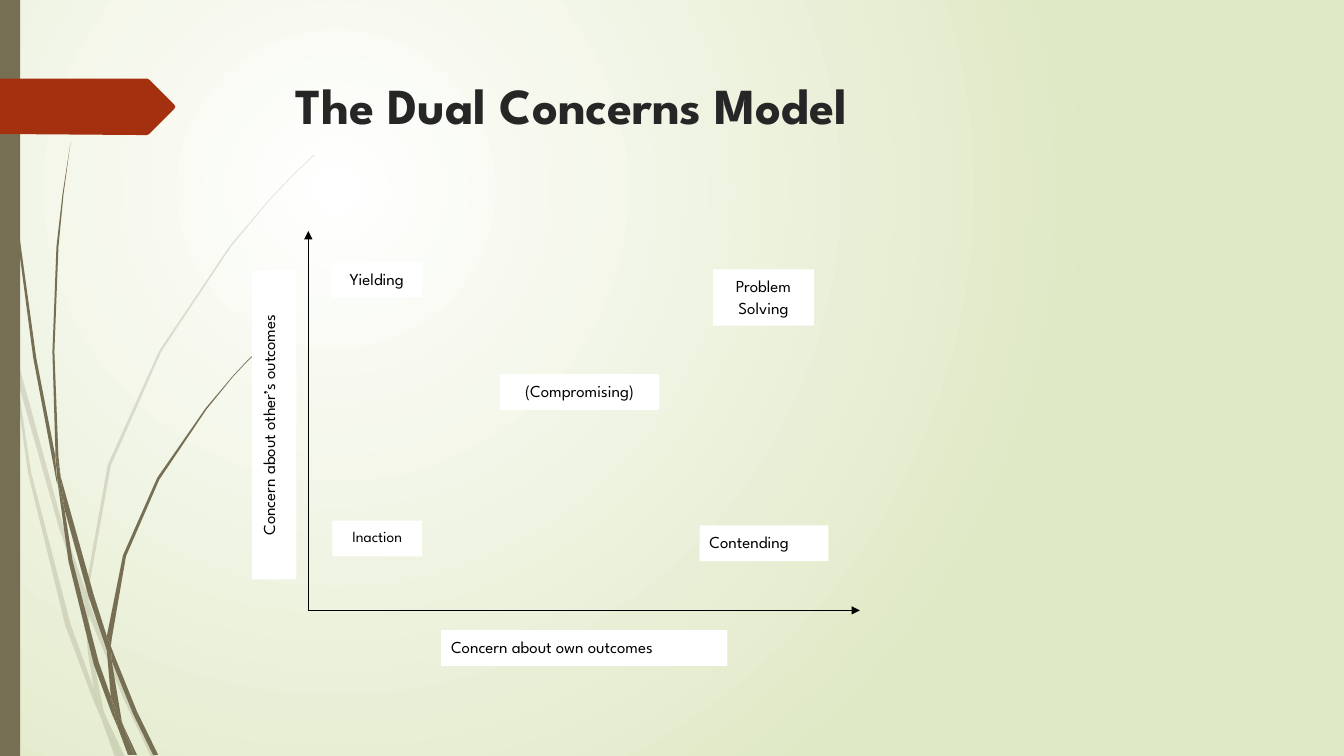
from lxml import etree
from pptx import Presentation
from pptx.dml.color import RGBColor
from pptx.enum import shapes, text
from pptx.oxml.ns import qn
from pptx.util import Cm, Pt

FONT = "League Spartan"
WHITE = RGBColor(0xFF, 0xFF, 0xFF)
BLACK = RGBColor(0, 0, 0)
PALE_GREEN = RGBColor(0xDF, 0xE8, 0xC4)
OLIVE = RGBColor(0x76, 0x6F, 0x54)
RUST = RGBColor(0xA5, 0x30, 0x10)
CHARCOAL = RGBColor(0x26, 0x26, 0x26)

GRID = Cm(2.54) / 100
FAINT_BLADES = [
    [(11, 350), (9, 322), (0, 282), (0, 299), (10, 344)],
    [(58, 522), (84, 599), (85, 586), (62, 520), (14, 345), (17, 376)],
    [(92, 607), (88, 596), (88, 610), (123, 694), (150, 751), (155, 751), (127, 692)],
    [(119, 751), (124, 751), (105, 711)],
    [(93, 683), (70, 619), (31, 469), (17, 376), (11, 350), (28, 470), (65, 621),
     (92, 693), (101, 714), (99, 707)],
    [(84, 599), (87, 646), (93, 683), (96, 692), (105, 711), (103, 706), (91, 646),
     (88, 610), (88, 608)],
    [(88, 584), (110, 462), (160, 349), (229, 245), (268, 198), (290, 175), (312, 154),
     (312, 153), (289, 175), (268, 197), (228, 244), (158, 348), (107, 461), (85, 584),
     (85, 586), (88, 596)],
    [(101, 714), (114, 751), (119, 751)],
    [(88, 608), (88, 610), (88, 596), (85, 586), (84, 599)],
    [(96, 692), (93, 683), (99, 707), (101, 714), (119, 751), (105, 711)],
]
DARK_BLADES = [
    [(7, 110), (17, 233), (33, 355), (56, 477), (57, 481), (55, 457), (55, 453),
     (36, 355), (19, 232), (8, 109), (5, 48), (4, 0), (3, 0), (4, 48)],
    [(88, 592), (106, 645), (106, 633), (106, 631), (93, 590), (60, 472), (64, 505)],
    [(113, 649), (110, 641), (111, 656), (132, 708), (152, 749), (157, 749), (136, 706)],
    [(110, 691), (98, 657), (72, 556), (64, 505), (57, 477), (68, 557), (93, 659),
     (111, 708), (117, 722), (116, 717)],
    [(60, 472), (58, 453), (54, 349), (58, 245), (63, 193), (70, 141), (62, 193),
     (56, 245), (52, 349), (55, 449)],
    [(133, 749), (136, 749), (122, 719)],
    [(57, 477), (64, 505), (60, 472), (55, 449), (55, 453)],
    [(111, 633), (125, 552), (158, 476), (205, 406), (231, 374), (245, 359), (261, 344),
     (260, 344), (245, 358), (231, 373), (204, 405), (156, 474), (122, 551), (106, 631),
     (110, 641)],
    [(117, 722), (127, 749), (131, 749)],
    [(106, 645), (110, 691), (116, 706), (122, 719), (121, 716), (111, 656), (109, 651)],
    [(106, 645), (109, 651), (111, 656), (110, 641), (106, 631), (106, 633)],
    [(116, 706), (110, 691), (116, 717), (117, 722), (130, 749), (133, 749), (122, 719)],
]
TAG = [(173, 108), (148, 133), (146, 134), (136, 134), (0, 133), (0, 78), (136, 78),
       (146, 78), (148, 79), (173, 104), (174, 106)]

CENTER = text.PP_ALIGN.CENTER
LEFT = text.PP_ALIGN.LEFT
LABELS = [
    ("Yielding", (8.35, 6.6, 2.29, .9), CENTER, 12, 0),
    ("Concern about other’s outcomes", (3.02, 10.15, 7.78, 1.12), CENTER, 12, 270),
    ("Problem Solving", (17.97, 6.79, 2.54, 1.42), CENTER, 12, 0),
    ("(Compromising)", (12.6, 9.43, 4.02, .9), CENTER, 12, 0),
    ("Contending", (17.63, 13.24, 3.25, .9), LEFT, 12, 0),
    ("Inaction", (8.38, 13.12, 2.26, .9), CENTER, 11, 0),
    ("Concern about own outcomes", (11.12, 15.88, 7.21, .9), LEFT, 12, 0),
]
ORIGIN = (7.77, 15.38)
AXIS_ENDS = [(7.77, 5.82), (21.67, 15.38)]


def paint_background(slide):
    fill = slide.background.fill
    fill.gradient()
    for stop, color in zip(fill.gradient_stops, (WHITE, PALE_GREEN)):
        stop.color.rgb = color
    gradient = slide.element.find(".//" + qn("a:gradFill"))
    gradient.remove(gradient.find(qn("a:lin")))
    circle = etree.SubElement(gradient, qn("a:path"), path="circle")
    etree.SubElement(circle, qn("a:fillToRect"),
                     l="50000", t="50000", r="100000", b="100000")


def paint(shape, color):
    shape.shadow.inherit = False
    shape.fill.solid()
    shape.fill.fore_color.rgb = color
    shape.line.fill.background()


def add_outline(slide, corners, color, opacity=100):
    pen = slide.shapes.build_freeform(*corners[0], scale=GRID)
    pen.add_line_segments(corners[1:])
    outline = pen.convert_to_shape()
    paint(outline, color)
    if opacity < 100:
        tint = outline.element.spPr.find(qn("a:solidFill"))[0]
        etree.SubElement(tint, qn("a:alpha"), val=str(opacity * 1000))


def add_block(slide, place, color):
    block = slide.shapes.add_shape(shapes.MSO_SHAPE.RECTANGLE, *map(Cm, place))
    paint(block, color)
    return block


def add_run(paragraph, words, size, color, bold=False):
    run = paragraph.add_run()
    run.text = words
    run.font.name = FONT
    run.font.size = Pt(size)
    run.font.bold = bold
    run.font.color.rgb = color


def write_title(slide, words):
    title = slide.shapes.title
    title.left, title.top, title.width, title.height = map(Cm, (7.2, 1.73, 24.77, 2.26))
    frame = title.text_frame
    frame.auto_size = text.MSO_AUTO_SIZE.NONE
    frame.vertical_anchor = text.MSO_ANCHOR.TOP
    frame.paragraphs[0].alignment = LEFT
    add_run(frame.paragraphs[0], words, 36, CHARCOAL, bold=True)


def add_axis(slide, end):
    axis = slide.shapes.add_connector(shapes.MSO_CONNECTOR.STRAIGHT,
                                      *map(Cm, ORIGIN + end))
    axis.line.color.rgb = BLACK
    axis.line.width = Pt(.75)
    stroke = axis.element.spPr.find(qn("a:ln"))
    etree.SubElement(stroke, qn("a:tailEnd"), type="triangle")
    etree.SubElement(axis.element.spPr, qn("a:effectLst"))


def add_label(slide, words, place, alignment, size, rotation):
    label = add_block(slide, place, WHITE)
    label.rotation = rotation
    frame = label.text_frame
    frame.word_wrap = True
    frame.vertical_anchor = text.MSO_ANCHOR.TOP
    paragraph = frame.paragraphs[0]
    paragraph.alignment = alignment
    paragraph.line_spacing = 1.07
    paragraph.space_after = Pt(8)
    add_run(paragraph, words, size, BLACK)


def main():
    deck = Presentation()
    deck.slide_width, deck.slide_height = Cm(33.87), Cm(19.05)
    slide = deck.slides.add_slide(deck.slide_layouts[5])
    paint_background(slide)
    for blade in FAINT_BLADES:
        add_outline(slide, blade, OLIVE, opacity=20)
    for blade in DARK_BLADES:
        add_outline(slide, blade, OLIVE)
    add_block(slide, (0, 0, .51, 19.05), OLIVE)
    add_outline(slide, TAG, RUST)
    write_title(slide, "The Dual Concerns Model")
    for end in AXIS_ENDS:
        add_axis(slide, end)
    for label in LABELS:
        add_label(slide, *label)
    deck.save("out.pptx")


if __name__ == "__main__":
    main()
